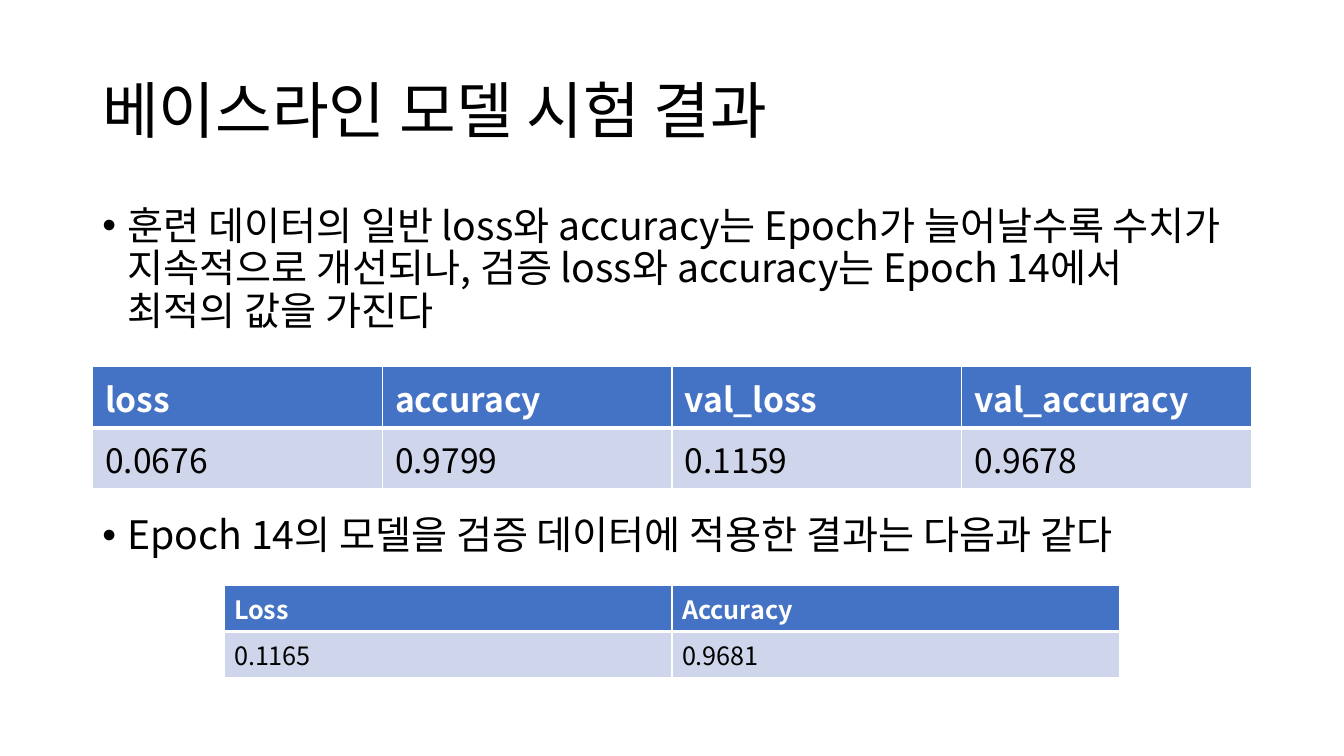
"""Builds the slide with the baseline model's test results."""
from lxml import etree
from pptx import Presentation
from pptx import util as u
from pptx.dml import color
from pptx.enum import text
from pptx.oxml import ns

FONT = "Noto Sans CJK KR"
INK, PAPER, HEAD, BAND = "000000", "FFFFFF", "4472C4", "CFD5EA"
LEFT, WIDE = 66, 828
TITLE = "베이스라인 모델 시험 결과"
POINTS = [
    (144, 110, "훈련 데이터의 일반 loss와 accuracy는 Epoch가 늘어날수록 수치가 지속적으로 "
               "개선되나, 검증 loss와 accuracy는 Epoch 14에서 최적의 값을 가진다"),
    (365, 45, "Epoch 14의 모델을 검증 데이터에 적용한 결과는 다음과 같다"),
]
TABLES = [
    dict(box=(LEFT, 262, WIDE, 87.2), size=24, pad=(9.2, 4.6), rows=[
        ("loss", "accuracy", "val_loss", "val_accuracy"),
        ("0.0676", "0.9799", "0.1159", "0.9678")]),
    dict(box=(160, 418, 640, 66), size=18, pad=(7.2, 3.6), rows=[
        ("Loss", "Accuracy"),
        ("0.1165", "0.9681")]),
]


def rgb(code):
    return color.RGBColor.from_string(code)


def write(par, words, size, ink=INK, bold=False):
    run = par.add_run()
    run.text = words
    font = run.font
    font.name, font.size, font.bold = FONT, u.Pt(size), bold
    font.color.rgb = rgb(ink)
    face = etree.SubElement(font._element, ns.qn("a:ea"))
    face.set("typeface", FONT)


def add_text(slide, box, words, size, anchor):
    frame = slide.shapes.add_textbox(*map(u.Pt, box)).text_frame
    frame.word_wrap = True
    frame.vertical_anchor = anchor
    par = frame.paragraphs[0]
    par.line_spacing = 0.9
    write(par, words, size)
    return par


def add_dot(par):
    props = par._p.get_or_add_pPr()
    props.set("marL", str(u.Pt(18)))
    props.set("indent", str(u.Pt(-18)))
    etree.SubElement(props, ns.qn("a:buFont")).set("typeface", "Arial")
    etree.SubElement(props, ns.qn("a:buChar")).set("char", "•")


def add_lines(cell, base):
    props = cell._tc.get_or_add_tcPr()
    for spot, side in enumerate("LRTB"):
        line = etree.Element(ns.qn("a:ln" + side))
        line.set("w", str(u.Pt(base if side == "B" else 1)))
        fill = etree.SubElement(line, ns.qn("a:solidFill"))
        etree.SubElement(fill, ns.qn("a:srgbClr")).set("val", PAPER)
        props.insert(spot, line)


def add_grid(slide, box, size, pad, rows):
    grid = slide.shapes.add_table(len(rows), len(rows[0]), *map(u.Pt, box)).table
    for r, row in enumerate(rows):
        top = r == 0
        for c, words in enumerate(row):
            cell = grid.cell(r, c)
            cell.margin_left = cell.margin_right = u.Pt(pad[0])
            cell.margin_top = cell.margin_bottom = u.Pt(pad[1])
            cell.fill.solid()
            cell.fill.fore_color.rgb = rgb(HEAD if top else BAND)
            add_lines(cell, 3 if top else 1)
            write(cell.text_frame.paragraphs[0], words, size, PAPER if top else INK, top)


def main():
    deck = Presentation()
    deck.slide_width, deck.slide_height = u.Pt(960), u.Pt(540)
    slide = deck.slides.add_slide(deck.slide_layouts[6])
    add_text(slide, (LEFT, 28.75, WIDE, 104.4), TITLE, 44, text.MSO_ANCHOR.MIDDLE)
    for y, high, words in POINTS:
        box = LEFT, y, WIDE - 12, high
        add_dot(add_text(slide, box, words, 28, text.MSO_ANCHOR.TOP))
    for table in TABLES:
        add_grid(slide, **table)
    deck.save("out.pptx")


if __name__ == "__main__":
    main()
